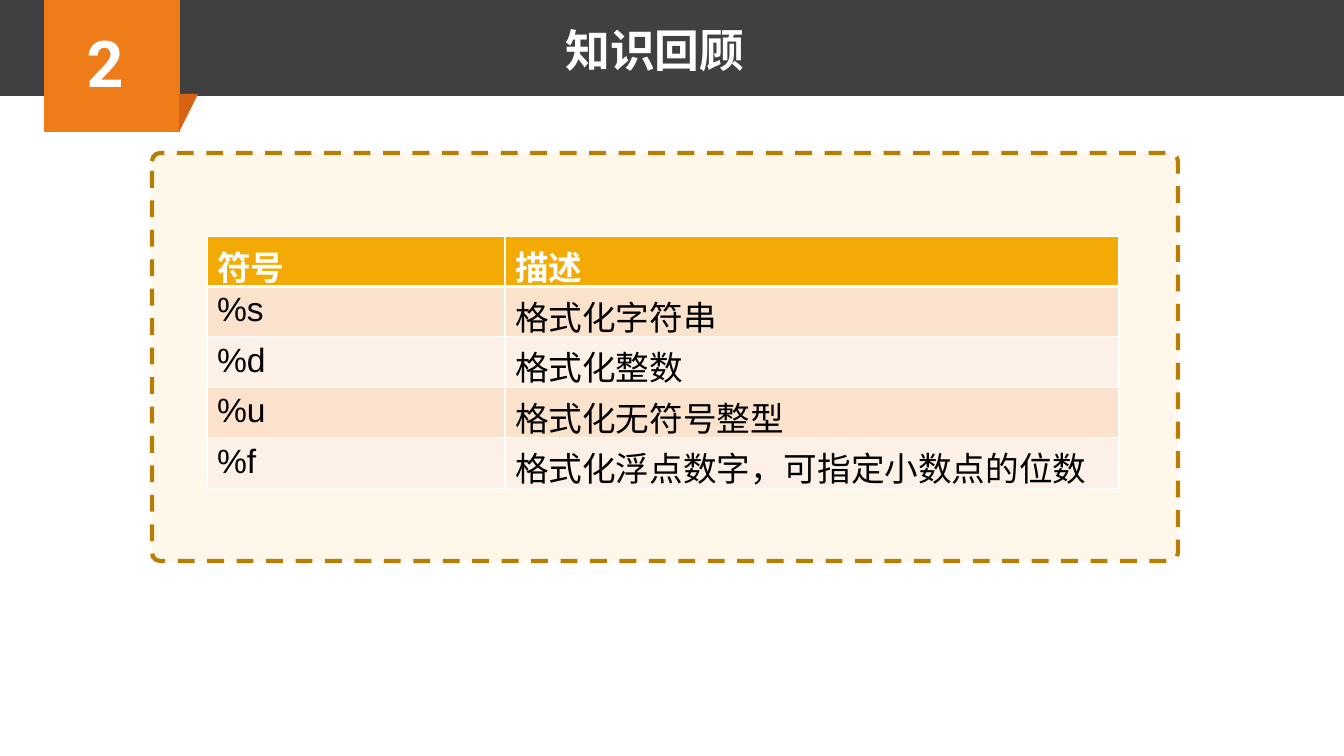
from lxml import etree
from pptx import Presentation
from pptx.dml.color import RGBColor
from pptx.enum.dml import MSO_LINE
from pptx.enum.shapes import MSO_SHAPE
from pptx.enum.text import MSO_ANCHOR, PP_ALIGN
from pptx.oxml.ns import qn
from pptx.util import Emu, Pt

RECTANGLE = MSO_SHAPE.RECTANGLE
ROUNDED = MSO_SHAPE.ROUNDED_RECTANGLE
RIGHT_TRIANGLE = MSO_SHAPE.RIGHT_TRIANGLE
DASH = MSO_LINE.DASH
TOP = MSO_ANCHOR.TOP
CENTER = PP_ALIGN.CENTER

WHITE = RGBColor(0xFF, 0xFF, 0xFF)
BLACK = RGBColor(0x00, 0x00, 0x00)
CHARCOAL = RGBColor(0x40, 0x40, 0x40)
ORANGE = RGBColor(0xEE, 0x7D, 0x19)
DARK_ORANGE = RGBColor(0xD7, 0x62, 0x13)
CREAM = RGBColor(0xFF, 0xF7, 0xEA)
OCHRE = RGBColor(0xB6, 0x7F, 0x04)
AMBER = RGBColor(0xF3, 0xAA, 0x05)
BANDS = (RGBColor(0xFA, 0xE2, 0xCC), RGBColor(0xFD, 0xF1, 0xE7))

PX = 914400 / 100.8
SLIDE_WIDTH, SLIDE_HEIGHT = 1344, 756
ROWS = (
    ("符号", "描述"),
    ("%s", "格式化字符串"),
    ("%d", "格式化整数"),
    ("%u", "格式化无符号整型"),
    ("%f", "格式化浮点数字，可指定小数点的位数"),
)


def px(length):
    """Turn pixels into EMU."""
    return Emu(round(length * PX))


def add_block(slide, kind, box, color):
    """Add a plain filled shape without line or shadow."""
    shape = slide.shapes.add_shape(kind, *map(px, box))
    shape.shadow.inherit = False
    shape.fill.solid()
    shape.fill.fore_color.rgb = color
    shape.line.fill.background()
    return shape


def style_runs(paragraph, font_name, size, color, bold):
    """Format every run of a paragraph."""
    for run in paragraph.runs:
        run.font.name = font_name
        run.font.size = Pt(size)
        run.font.color.rgb = color
        run.font.bold = bold


def add_label(slide, box, text, font_name, size):
    """Add a centred bold white line of text."""
    text_frame = slide.shapes.add_textbox(*map(px, box)).text_frame
    text_frame.word_wrap = False
    text_frame.text = text
    paragraph = text_frame.paragraphs[0]
    paragraph.alignment = CENTER
    style_runs(paragraph, font_name, size, WHITE, True)


def add_header(slide, left, top, width, height):
    """Draw the title bar with its numbered ribbon."""
    add_block(slide, RECTANGLE, (left, top, width, height), CHARCOAL)
    add_block(slide, RECTANGLE, (left + 44, top, 136, 132), ORANGE)
    fold = add_block(slide, RIGHT_TRIANGLE, (left + 179, top + 94, 19, 38), DARK_ORANGE)
    fold.rotation = 180
    fold.element.spPr.xfrm.set("flipH", "1")
    add_label(slide, (left + 76, top + 18, 58, 92), "2", "Roboto", 46)
    add_label(slide, (left + 554, top + 18, 202, 65), "知识回顾", "Calibri", 32)


def add_borders(cell, bottom_width):
    """Give a cell white borders."""
    properties = cell._tc.get_or_add_tcPr()
    widths = {"a:lnL": 1, "a:lnR": 1, "a:lnT": 1, "a:lnB": bottom_width}
    for position, (tag, width) in enumerate(widths.items()):
        border = etree.Element(qn(tag), w=str(Pt(width)))
        fill = etree.SubElement(border, qn("a:solidFill"))
        etree.SubElement(fill, qn("a:srgbClr"), val=str(WHITE))
        properties.insert(position, border)


def add_symbol_table(slide, left, top, width, height):
    """Draw the table of format symbols."""
    box = map(px, (left, top, width, height))
    frame = slide.shapes.add_table(len(ROWS), len(ROWS[0]), *box)
    table = frame.table
    symbol_width = 298
    table.columns[0].width = px(symbol_width)
    table.columns[1].width = px(width - symbol_width)
    for row_index, texts in enumerate(ROWS):
        is_header = row_index == 0
        table.rows[row_index].height = px(41)
        for column_index, text in enumerate(texts):
            cell = table.cell(row_index, column_index)
            cell.text = text
            cell.vertical_anchor = TOP
            cell.fill.solid()
            cell.fill.fore_color.rgb = AMBER if is_header else BANDS[(row_index - 1) % 2]
            add_borders(cell, 3 if is_header else 1)
            color = WHITE if is_header else BLACK
            style_runs(cell.text_frame.paragraphs[0], "Arial", 24, color, is_header)
    frame.height = px(height)


def add_review_panel(slide, left, top, width, height):
    """Draw the dashed panel and the table inside it."""
    panel = add_block(slide, ROUNDED, (left, top, width, height), CREAM)
    panel.adjustments[0] = 0.02
    panel.line.color.rgb = OCHRE
    panel.line.width = Pt(3)
    panel.line.dash_style = DASH
    add_symbol_table(slide, left + 55, top + 83, 912, 252)


def main():
    """Build and save the slide."""
    presentation = Presentation()
    presentation.slide_width = px(SLIDE_WIDTH)
    presentation.slide_height = px(SLIDE_HEIGHT)
    slide = presentation.slides.add_slide(presentation.slide_layouts[6])
    add_header(slide, 0, 0, SLIDE_WIDTH, 96)
    add_review_panel(slide, 152, 153, 1026, 408)
    presentation.save("out.pptx")


if __name__ == "__main__":
    main()
